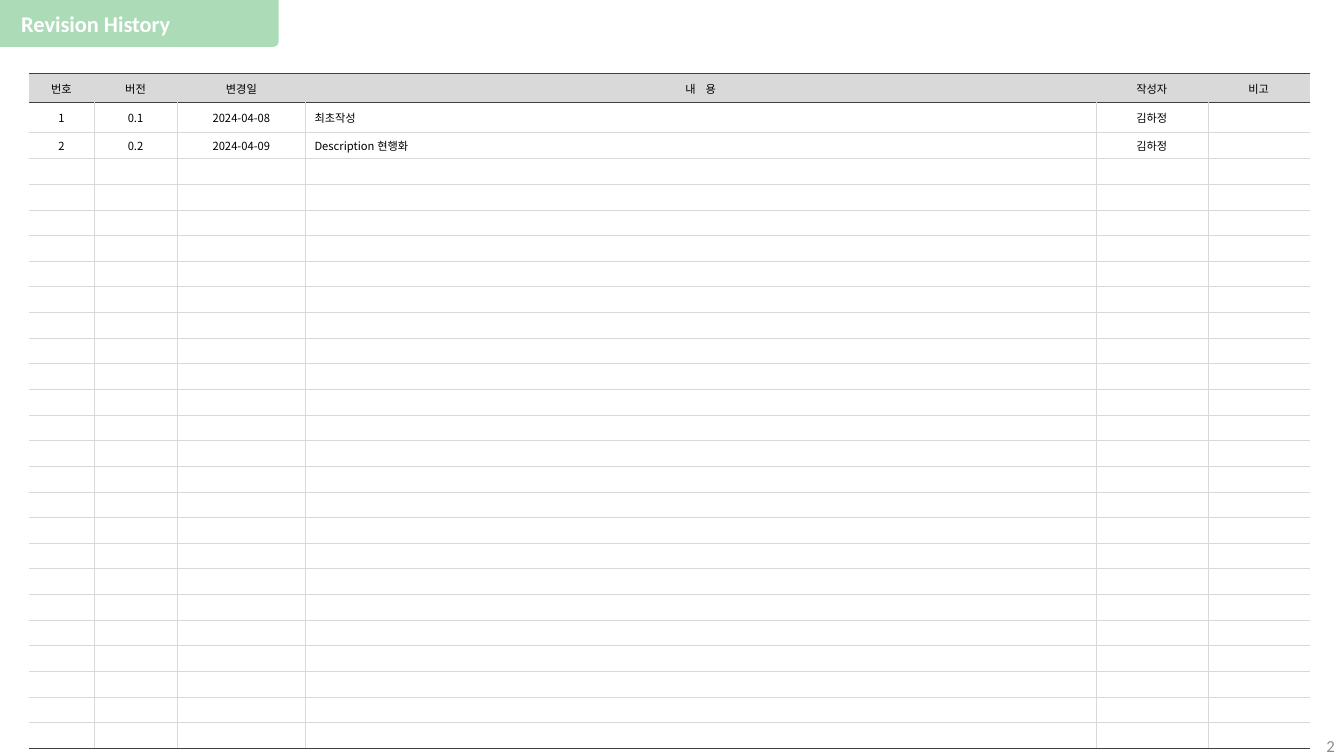
import dataclasses

import lxml.etree
import pptx
import pptx.dml.color
import pptx.enum.shapes
import pptx.enum.text
import pptx.oxml.ns
import pptx.util

Inches = pptx.util.Inches
Pt = pptx.util.Pt
qn = pptx.oxml.ns.qn
Align = pptx.enum.text.PP_ALIGN
MIDDLE = pptx.enum.text.MSO_ANCHOR.MIDDLE


@dataclasses.dataclass(frozen=True)
class Theme:
    tab: str = "ACDCB7"
    paper: str = "FFFFFF"
    ink: str = "000000"
    header: str = "D9D9D9"
    grid: str = "D9D9D9"
    rule: str = "404040"
    page: str = "8C8C8C"
    font: str = "Calibri"
    korean_font: str = "Noto Sans CJK KR"
    title_size: int = 16
    page_size: int = 12
    table_size: int = 8
    thin: float = 0.25
    thick: float = 1


THEME = Theme()

COLUMNS = [("번호", 0.64), ("버전", 0.83), ("변경일", 1.27),
           ("내    용", 7.84), ("작성자", 1.11), ("비고", 1.01)]
DESCRIPTION_COLUMN = 3
REVISIONS = [
    ("1", "0.1", "2024-04-08", "최초작성", "김하정", ""),
    ("2", "0.2", "2024-04-09", "Description 현행화", "김하정", ""),
]
ROW_COUNT = 26
TALL_ROWS = 2
TALL_HEIGHT = 0.29


def rgb(value):
    return pptx.dml.color.RGBColor.from_string(value)


def style(paragraph, size, color, font=THEME.font, bold=False, align=Align.LEFT):
    paragraph.alignment = align
    paragraph.font.size = Pt(size)
    paragraph.font.name = font
    paragraph.font.bold = bold
    paragraph.font.color.rgb = rgb(color)


def set_borders(cell, borders):
    """Draw cell edges; borders maps L, R, T, B to (colour, points) or None."""
    properties = cell._tc.get_or_add_tcPr()
    for position, side in enumerate("LRTB"):
        line = lxml.etree.Element(qn(f"a:ln{side}"))
        if borders[side]:
            color, width = borders[side]
            line.set("w", str(int(Pt(width))))
            fill = lxml.etree.SubElement(line, qn("a:solidFill"))
            lxml.etree.SubElement(fill, qn("a:srgbClr")).set("val", color)
        else:
            lxml.etree.SubElement(line, qn("a:noFill"))
        properties.insert(position, line)


def cell_borders(row, column):
    grid = (THEME.grid, THEME.thin)
    strong = (THEME.rule, THEME.thick)
    last_row = row == ROW_COUNT - 1
    return {
        "L": grid if row and column else None,
        "R": grid if row and column < len(COLUMNS) - 1 else None,
        "T": strong if row <= 1 else grid,
        "B": strong if row == 0 else (THEME.rule, THEME.thin) if last_row else grid,
    }


def add_title_tab(slide, left, top, width, height):
    # Green tab with its rounded corner at the bottom right
    tab = slide.shapes.add_shape(
        pptx.enum.shapes.MSO_SHAPE.ROUND_1_RECTANGLE, left, top, width, height)
    tab.shadow.inherit = False
    tab.adjustments[0] = 0.11
    tab.rotation = 180
    tab.element.spPr.find(qn("a:xfrm")).set("flipH", "1")
    tab.fill.solid()
    tab.fill.fore_color.rgb = rgb(THEME.tab)
    tab.line.color.rgb = rgb(THEME.tab)
    tab.line.width = Pt(0.75)

    # Title in front of the tab
    title = slide.shapes.title
    title.element.addprevious(tab.element)
    title.left, title.top = left + Inches(0.21), top + Inches(0.13)
    title.width, title.height = width - Inches(0.22), Inches(0.24)
    frame = title.text_frame
    frame.text = "Revision History"
    frame.auto_size = pptx.enum.text.MSO_AUTO_SIZE.NONE
    frame.vertical_anchor = MIDDLE
    frame.margin_left = frame.margin_right = frame.margin_top = frame.margin_bottom = 0
    frame.paragraphs[0].line_spacing = 0.9
    style(frame.paragraphs[0], THEME.title_size, THEME.paper, bold=True)


def fill_cell(cell, text, row, column):
    cell.vertical_anchor = MIDDLE
    cell.margin_left = cell.margin_right = Inches(0.09)
    cell.margin_top = cell.margin_bottom = Inches(0.05)
    cell.fill.solid()
    cell.fill.fore_color.rgb = rgb(THEME.paper if row else THEME.header)
    set_borders(cell, cell_borders(row, column))
    cell.text = text
    paragraph = cell.text_frame.paragraphs[0]
    if text:
        centred = row == 0 or column != DESCRIPTION_COLUMN
        style(paragraph, THEME.table_size, THEME.ink,
              THEME.korean_font if row else THEME.font,
              align=Align.CENTER if centred else Align.LEFT)
    else:
        # An empty cell keeps the small type so its row stays low
        end = lxml.etree.SubElement(paragraph._p, qn("a:endParaRPr"))
        end.set("sz", str(THEME.table_size * 100))


def add_revision_table(slide, left, top, width, height):
    table = slide.shapes.add_table(
        ROW_COUNT, len(COLUMNS), left, top, width, height).table
    table.first_row = False
    table.horz_banding = False
    for column, (_, column_width) in zip(table.columns, COLUMNS):
        column.width = Inches(column_width)

    # Two taller rows on top, the others share the remaining height
    tall = Inches(TALL_HEIGHT)
    low = int((height - TALL_ROWS * tall) / (ROW_COUNT - TALL_ROWS))
    rows = [[heading for heading, _ in COLUMNS], *REVISIONS]
    rows += [[""] * len(COLUMNS)] * (ROW_COUNT - len(rows))
    for row, texts in enumerate(rows):
        table.rows[row].height = tall if row < TALL_ROWS else low
        for column, text in enumerate(texts):
            fill_cell(table.cell(row, column), text, row, column)


def add_page_number(slide, left, top, width, height):
    page_number = slide.shapes.add_textbox(left, top, width, height)
    frame = page_number.text_frame
    frame.word_wrap = True
    frame.vertical_anchor = MIDDLE
    frame.margin_right = 0
    frame.text = "2"
    style(frame.paragraphs[0], THEME.page_size, THEME.page, align=Align.RIGHT)


def main():
    deck = pptx.Presentation()
    deck.slide_width, deck.slide_height = Inches(13.33), Inches(7.5)
    slide = deck.slides.add_slide(deck.slide_layouts[5])
    add_title_tab(slide, 0, 0, Inches(2.76), Inches(0.46))
    add_revision_table(slide, Inches(0.29), Inches(0.73), Inches(12.7), Inches(6.69))
    add_page_number(slide, Inches(12.56), Inches(7.3), Inches(0.68), Inches(0.2))
    deck.save("out.pptx")


if __name__ == "__main__":
    main()
